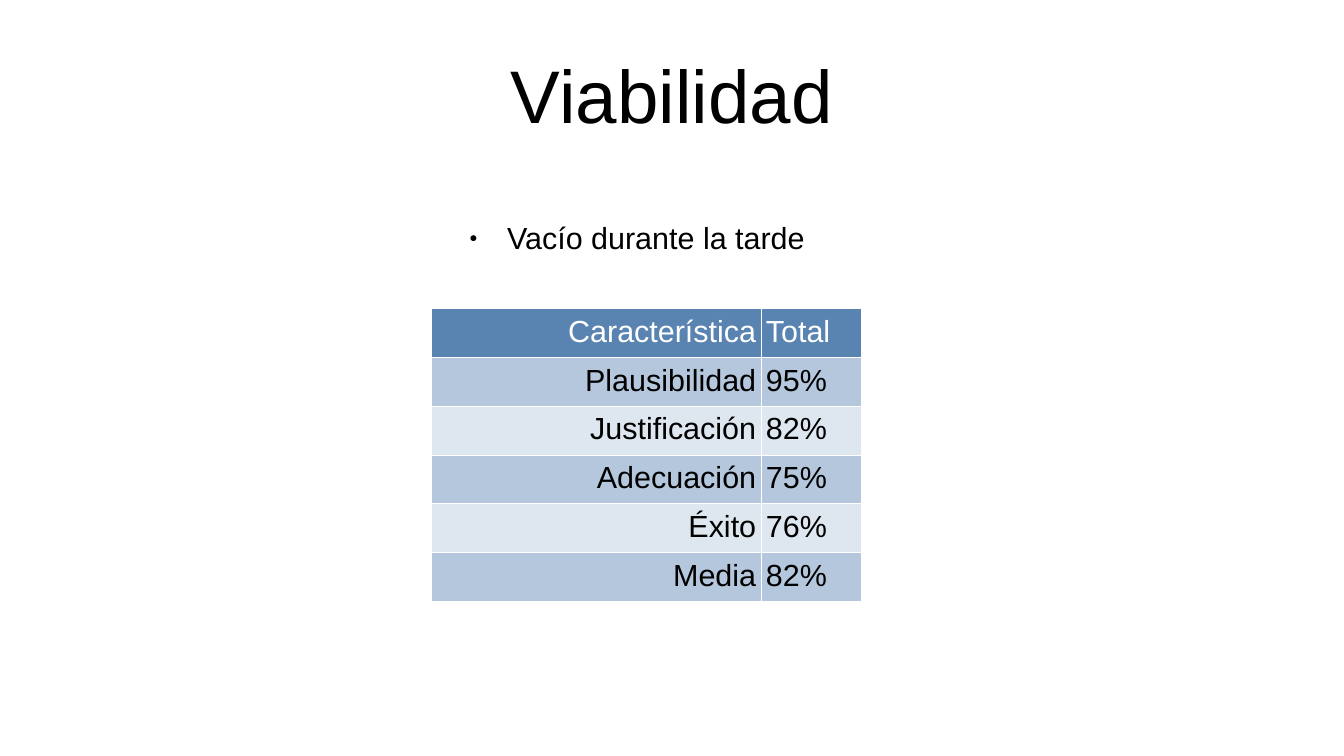
from lxml.etree import SubElement
from pptx import Presentation
from pptx.dml.color import RGBColor
from pptx.enum.text import MSO_ANCHOR as Anchor, PP_ALIGN as Align
from pptx.oxml.ns import qn
from pptx.util import Inches, Pt

BLACK = RGBColor(0x00, 0x00, 0x00)
WHITE = RGBColor(0xFF, 0xFF, 0xFF)
HEADER_BLUE = RGBColor(0x59, 0x83, 0xB0)
BAND_DARK = RGBColor(0xB4, 0xC7, 0xDC)
BAND_LIGHT = RGBColor(0xDE, 0xE6, 0xEF)

RATINGS = [
    ("Característica", "Total"),
    ("Plausibilidad", "95%"),
    ("Justificación", "82%"),
    ("Adecuación", "75%"),
    ("Éxito", "76%"),
    ("Media", "82%"),
]


class SlideBuilder:
    font = "Arial"
    body_size = 18
    title_size = 44
    border_width = 0.57

    def __init__(self, slide):
        self.slide = slide

    def set_text(self, text_frame, text, size, color, align):
        text_frame.text = text
        paragraph = text_frame.paragraphs[0]
        paragraph.alignment = align
        font = paragraph.runs[0].font
        font.name, font.size, font.bold = self.font, Pt(size), False
        font.color.rgb = color
        return paragraph

    def text_box(self, left, top, width, height):
        shape = self.slide.shapes.add_textbox(
            Inches(left), Inches(top), Inches(width), Inches(height))
        shape.text_frame.word_wrap = True
        return shape.text_frame

    def title(self, text, left, top, width, height):
        text_frame = self.text_box(left, top, width, height)
        text_frame.margin_left = text_frame.margin_right = 0
        text_frame.margin_top = text_frame.margin_bottom = 0
        text_frame.vertical_anchor = Anchor.MIDDLE
        self.set_text(text_frame, text, self.title_size, BLACK, Align.CENTER)

    def bullet(self, text, left, top, width, height, indent):
        text_frame = self.text_box(left, top, width, height)
        paragraph = self.set_text(text_frame, text, self.body_size, BLACK, Align.LEFT)
        properties = paragraph._p.get_or_add_pPr()
        properties.set("marL", str(Inches(indent)))
        properties.set("indent", str(-Inches(indent)))
        bullet_color = SubElement(properties, qn("a:buClr"))
        SubElement(bullet_color, qn("a:srgbClr"), val=str(BLACK))
        SubElement(properties, qn("a:buSzPct"), val="45000")
        SubElement(properties, qn("a:buFont"), typeface=self.font)
        SubElement(properties, qn("a:buChar"), char="●")

    def border(self, cell, color):
        properties = cell._tc.get_or_add_tcPr()
        for side in ("lnL", "lnR", "lnT", "lnB"):
            line = SubElement(properties, qn(f"a:{side}"), w=str(Pt(self.border_width)))
            fill = SubElement(line, qn("a:solidFill"))
            SubElement(fill, qn("a:srgbClr"), val=str(color))

    def cell(self, cell, text, fill, color, align):
        cell.margin_left = cell.margin_right = Inches(0.04)
        cell.margin_top = cell.margin_bottom = Inches(0.05)
        self.border(cell, WHITE)
        cell.fill.solid()
        cell.fill.fore_color.rgb = fill
        self.set_text(cell.text_frame, text, self.body_size, color, align)

    def table(self, rows, left, top, column_widths, row_height):
        table = self.slide.shapes.add_table(
            len(rows), len(column_widths), Inches(left), Inches(top),
            Inches(sum(column_widths)), Inches(row_height * len(rows))).table
        for column, width in zip(table.columns, column_widths):
            column.width = Inches(width)
        for row_index, values in enumerate(rows):
            if row_index == 0:
                fill, color = HEADER_BLUE, WHITE
            else:
                fill, color = (BAND_LIGHT, BAND_DARK)[row_index % 2], BLACK
            for column_index, value in enumerate(values):
                align = (Align.RIGHT, Align.LEFT)[column_index]
                self.cell(table.cell(row_index, column_index), value, fill, color, align)


def main():
    presentation = Presentation()
    presentation.slide_width = Inches(11.02)
    presentation.slide_height = Inches(6.2)
    slide = presentation.slides.add_slide(presentation.slide_layouts[6])
    builder = SlideBuilder(slide)
    builder.title("Viabilidad", 0.55, 0.25, 9.92, 1.04)
    builder.table(RATINGS, 3.54, 2.53, (2.7, 0.82), 0.4)
    builder.bullet("Vacío durante la tarde", 3.75, 1.75, 5, 0.38, 0.31)
    presentation.save("out.pptx")


if __name__ == "__main__":
    main()
